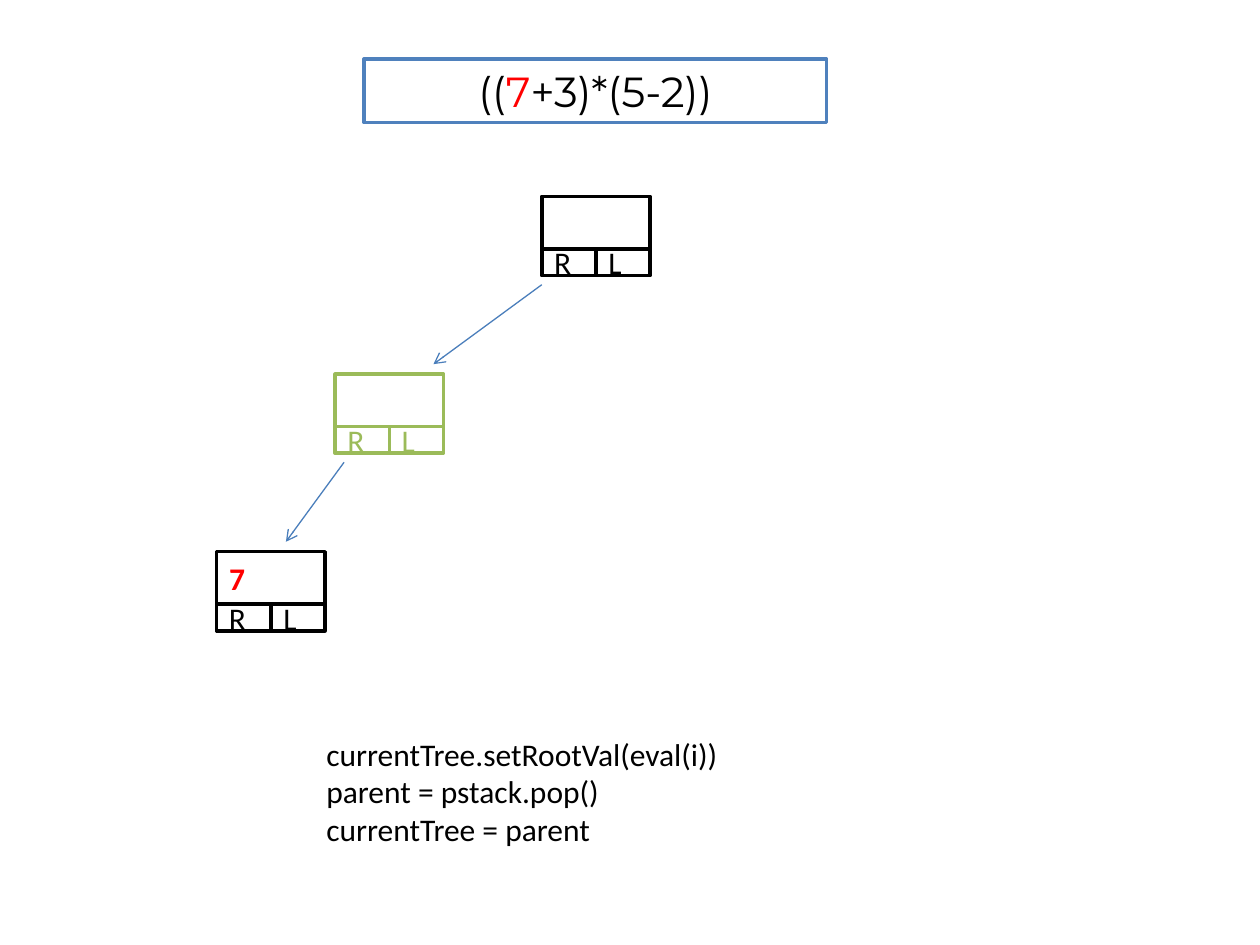
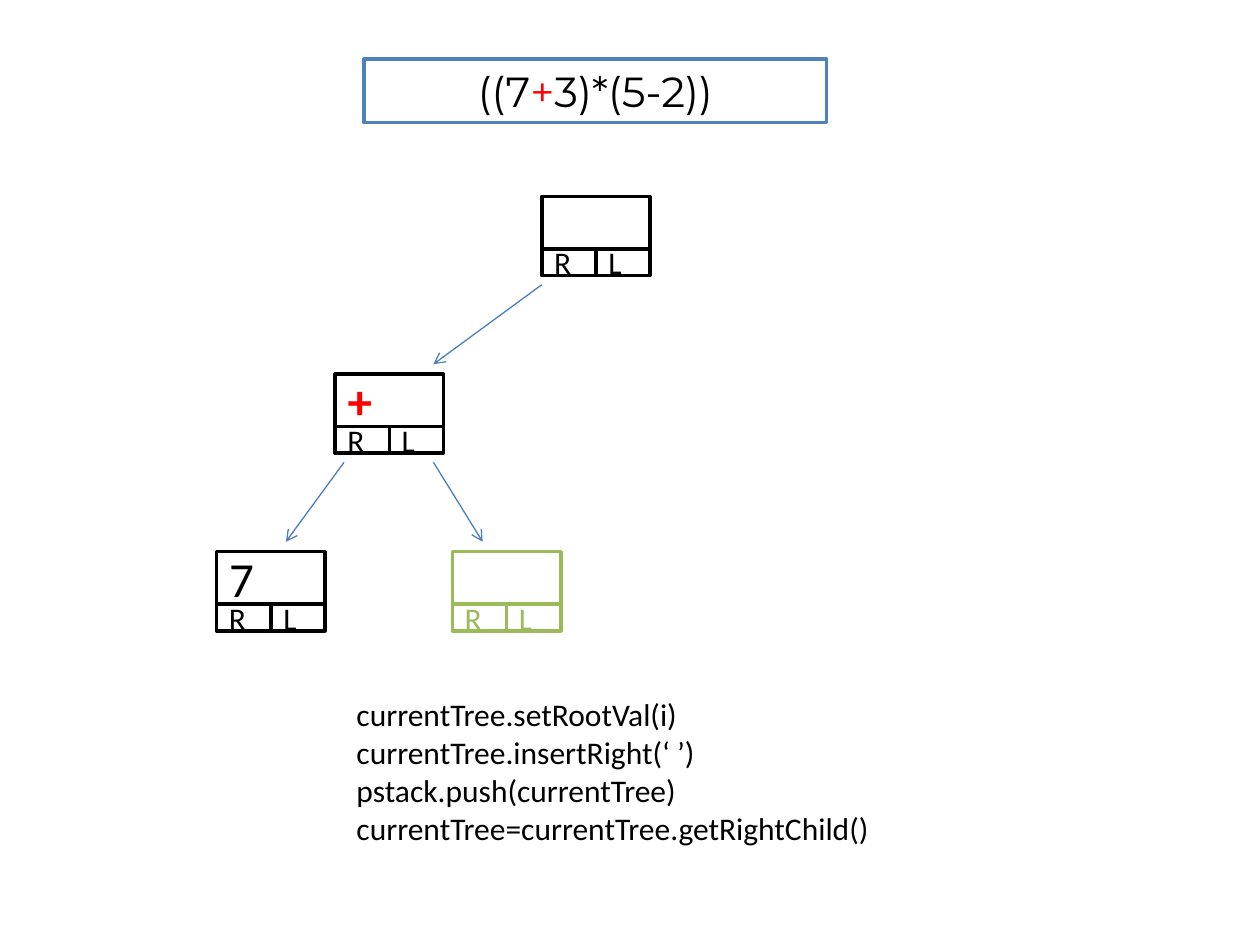
from lxml import etree
from pptx import Presentation
from pptx.dml.color import RGBColor
from pptx.enum import shapes, text
from pptx.oxml import ns
from pptx.util import Pt

COLOURS = {
    "ink": "000000",
    "paper": "FFFFFF",
    "frame": "4F81BD",
    "arrow": "4A7EBB",
    "current": "9BBB59",
    "token": "FF0000",
}

NODE_WIDTH, VALUE_HEIGHT, LINK_HEIGHT = 62, 30, 15.2
ROOT_TOP, LEVEL_STEP = 112.3, 101.5
ARROW_GAP, ARROW_HEIGHT = 5.2, 45.4

# position of each node: left edge and level in the tree
NODES = {"root": (309.6, 0), "left": (191.5, 1), "leaf": (123.8, 2), "right leaf": (258.5, 2)}
# ends of each arrow: start x, end x and level it starts from
ARROWS = {"root": (309.6, 247.7, 0), "leaf": (196.6, 163.4, 1), "right leaf": (247.7, 275.8, 1)}

# each node: value, size, bold, value colour, outline colour
STEPS = [
    {
        "expression": ("((", "7", "+3)*(5-2))"),
        "nodes": {
            "root": ("", 18, False, "ink", "ink"),
            "left": ("", 18, False, "ink", "current"),
            "leaf": ("7", 18, True, "token", "ink"),
        },
        "arrows": ("root", "leaf"),
        "code": ("currentTree.setRootVal(eval(i))", "parent = pstack.pop()",
                 "currentTree = parent"),
        "code_box": (179.4, 416.2, 241, 72),
        "wrap": False,
    },
    {
        "expression": ("((7", "+", "3)*(5-2))"),
        "nodes": {
            "root": ("", 18, False, "ink", "ink"),
            "left": ("+", 28, True, "token", "ink"),
            "leaf": ("7", 28, False, "ink", "ink"),
            "right leaf": ("", 18, False, "ink", "current"),
        },
        "arrows": ("root", "leaf", "right leaf"),
        "code": ("currentTree.setRootVal(i)", "currentTree.insertRight(‘ ’)",
                 "pstack.push(currentTree)", "currentTree=currentTree.getRightChild()"),
        "code_box": (196.6, 393.8, 315.4, 93.6),
        "wrap": True,
    },
]


def style_run(run, size, colour, font="Calibri", bold=False):
    run.font.name = font
    run.font.size = Pt(size)
    run.font.bold = bold
    run.font.color.rgb = RGBColor.from_string(COLOURS[colour])


def add_box(slide, left, top, width, height, outline):
    box = slide.shapes.add_shape(
        shapes.MSO_SHAPE.RECTANGLE, Pt(left), Pt(top), Pt(width), Pt(height))
    box.shadow.inherit = False
    box.fill.solid()
    box.fill.fore_color.rgb = RGBColor.from_string(COLOURS["paper"])
    box.line.color.rgb = RGBColor.from_string(COLOURS[outline])
    box.line.width = Pt(2)
    box.text_frame.vertical_anchor = text.MSO_ANCHOR.MIDDLE
    box.text_frame.paragraphs[0].alignment = text.PP_ALIGN.CENTER
    return box


prs = Presentation()
prs.slide_width, prs.slide_height = Pt(720), Pt(540)

for step in STEPS:
    slide = prs.slides.add_slide(prs.slide_layouts[6])

    expression = add_box(slide, 208, 33.8, 264.4, 36.3, "frame").text_frame
    expression.vertical_anchor = text.MSO_ANCHOR.TOP
    expression.auto_size = text.MSO_AUTO_SIZE.SHAPE_TO_FIT_TEXT
    for part, colour in zip(step["expression"], ("ink", "token", "ink")):
        run = expression.paragraphs[0].add_run()
        run.text = part
        style_run(run, 24, colour, font="Montserrat")

    for child in step["arrows"]:
        start, end, level = ARROWS[child]
        top = ROOT_TOP + level * LEVEL_STEP + VALUE_HEIGHT + LINK_HEIGHT + ARROW_GAP
        arrow = slide.shapes.add_connector(
            shapes.MSO_CONNECTOR.STRAIGHT, Pt(start), Pt(top), Pt(end), Pt(top + ARROW_HEIGHT))
        arrow.line.color.rgb = RGBColor.from_string(COLOURS["arrow"])
        arrow.line.width = Pt(0.75)
        etree.SubElement(arrow.line._get_or_add_ln(), ns.qn("a:tailEnd"), type="arrow")
        etree.SubElement(arrow._element.spPr, ns.qn("a:effectLst"))

    for node, (value, size, bold, colour, outline) in step["nodes"].items():
        left, level = NODES[node]
        top = ROOT_TOP + level * LEVEL_STEP
        value_box = add_box(slide, left, top, NODE_WIDTH, VALUE_HEIGHT, outline)
        if value:
            value_box.text_frame.text = value
            style_run(value_box.text_frame.paragraphs[0].runs[0], size, colour, bold=bold)
        for column, link in enumerate("RL"):
            link_box = add_box(slide, left + column * NODE_WIDTH / 2, top + VALUE_HEIGHT,
                               NODE_WIDTH / 2, LINK_HEIGHT, outline)
            link_box.text_frame.text = link
            style_run(link_box.text_frame.paragraphs[0].runs[0], 18, outline)

    code = slide.shapes.add_textbox(*map(Pt, step["code_box"])).text_frame
    code.word_wrap = step["wrap"]
    code.auto_size = text.MSO_AUTO_SIZE.SHAPE_TO_FIT_TEXT
    code.paragraphs[0].text = "\n".join(step["code"])
    for run in code.paragraphs[0].runs:
        style_run(run, 18, "ink")

prs.save("out.pptx")
